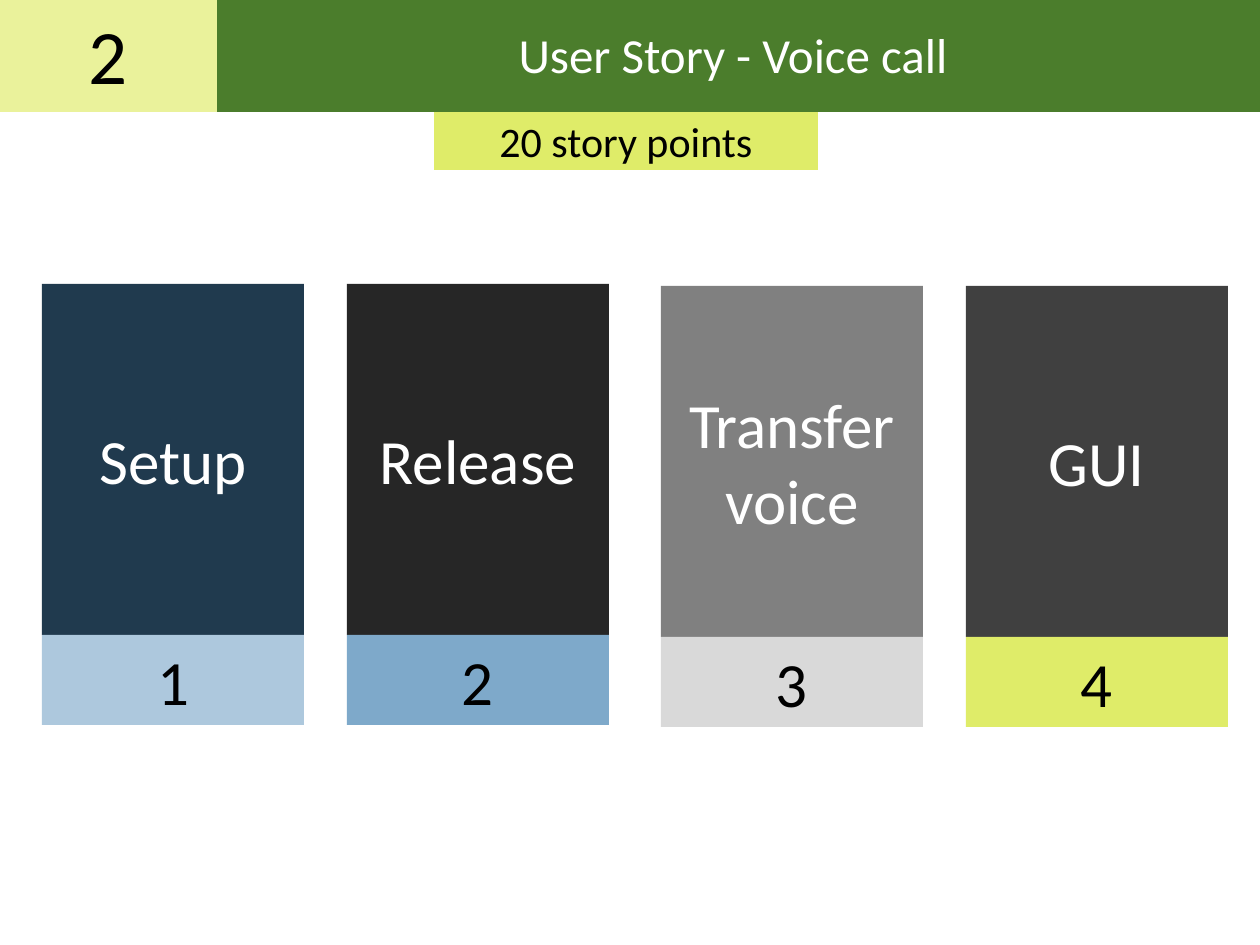
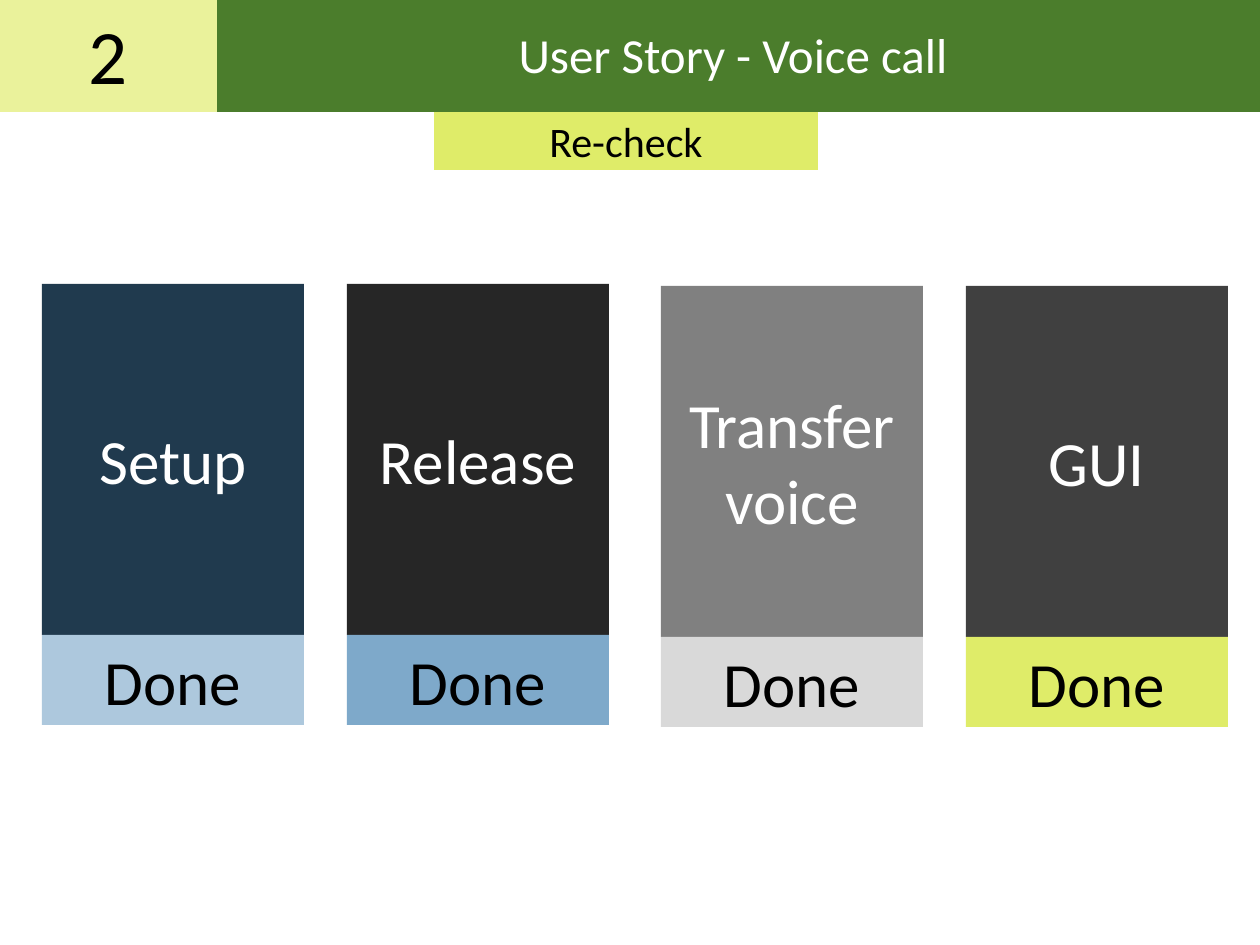
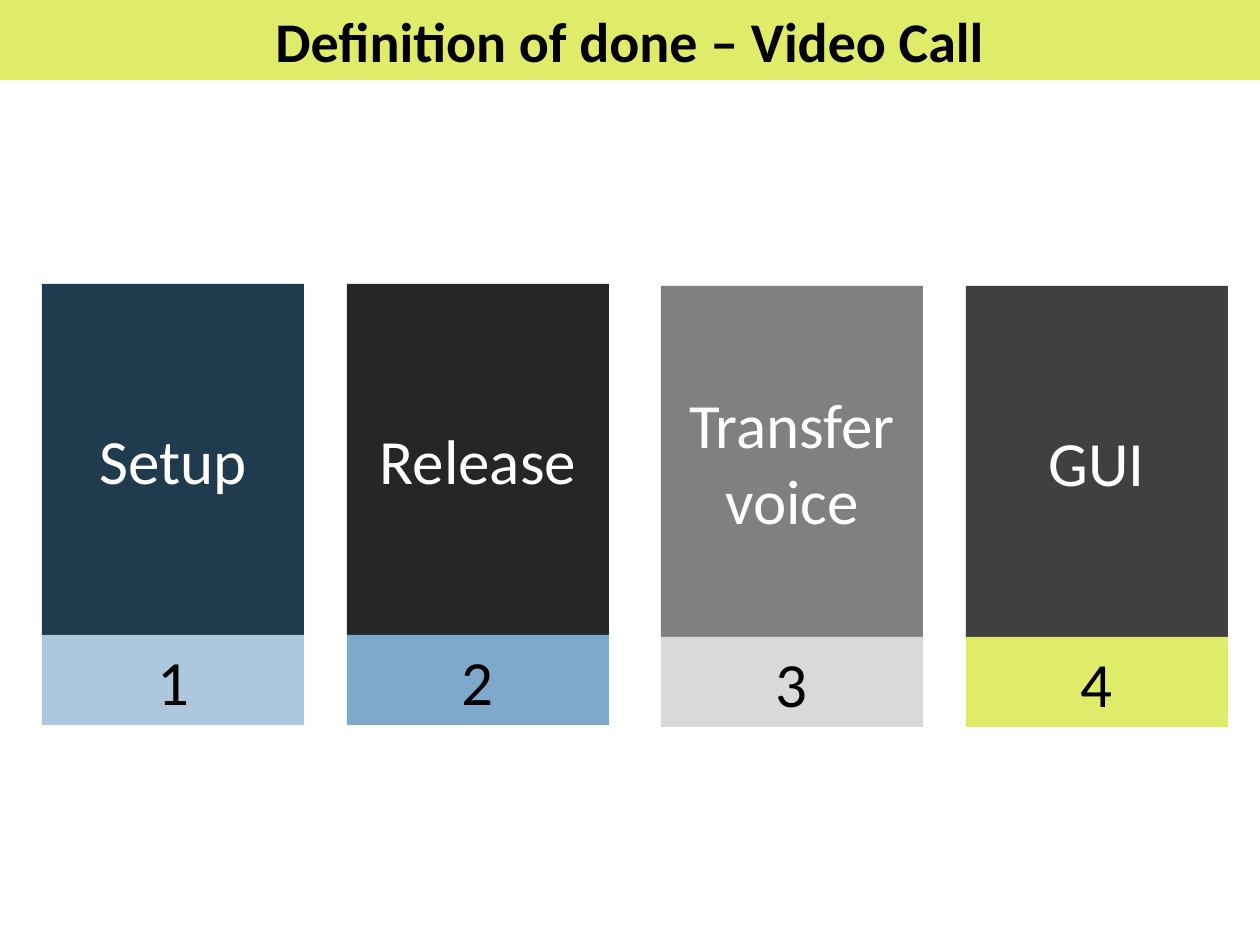
from dataclasses import dataclass

from pptx import Presentation
from pptx.dml.color import RGBColor
from pptx.enum.shapes import MSO_SHAPE
from pptx.enum.text import MSO_ANCHOR, MSO_AUTO_SIZE, PP_ALIGN
from pptx.shapes.base import BaseShape
from pptx.shapes.shapetree import GroupShapes
from pptx.slide import Slide
from pptx.util import Emu, Pt

RECTANGLE = MSO_SHAPE.RECTANGLE
MIDDLE = MSO_ANCHOR.MIDDLE
CENTER = PP_ALIGN.CENTER
FIT_SHAPE = MSO_AUTO_SIZE.SHAPE_TO_FIT_TEXT

EMU_PER_PX = 914400 / 126
SLIDE_WIDTH, SLIDE_HEIGHT = 1260, 945
BLANK_LAYOUT = 6


@dataclass(frozen=True)
class Theme:
    font: str = "Calibri"
    black: str = "000000"
    white: str = "FFFFFF"
    green: str = "4B7D2C"
    lime: str = "DFEC69"
    pale_lime: str = "EAF29B"
    navy: str = "203A4E"
    pale_blue: str = "ADC8DD"
    blue: str = "7EA9CA"
    charcoal: str = "262626"
    dark_gray: str = "404040"
    gray: str = "808080"
    light_gray: str = "D9D9D9"
    header_size: int = 28
    story_number_size: int = 44
    tab_size: int = 24
    card_size: int = 36
    title_size: int = 32


THEME = Theme()


@dataclass(frozen=True)
class Box:
    left: int
    top: int
    width: int
    height: int

    def emu(self) -> tuple[Emu, ...]:
        lengths = (self.left, self.top, self.width, self.height)
        return tuple(px(length) for length in lengths)


@dataclass(frozen=True)
class TextStyle:
    size: int
    color: str = THEME.black
    bold: bool = False


@dataclass(frozen=True)
class Card:
    name: str
    fill: str
    label_fill: str


HEADER_TOP, HEADER_HEIGHT = -4, 116
STORY_NUMBER_WIDTH = 217
STORY_NUMBER_BOX = Box(0, HEADER_TOP, STORY_NUMBER_WIDTH, HEADER_HEIGHT)
HEADER_BOX = Box(STORY_NUMBER_WIDTH, HEADER_TOP, SLIDE_WIDTH - STORY_NUMBER_WIDTH, HEADER_HEIGHT)
TAB_BOX = Box(434, HEADER_TOP + HEADER_HEIGHT, 384, 58)
TITLE_BOX = Box(0, 0, SLIDE_WIDTH, 80)

CARD_LEFT, CARD_TOP = 42, 284
CARD_WIDTH, CARD_HEIGHT, LABEL_HEIGHT = 262, 351, 90
CARD_PITCH = 305
PAIR_SHIFT_X, PAIR_SHIFT_Y = 619, 2

CARDS = (
    Card("Setup", THEME.navy, THEME.pale_blue),
    Card("Release", THEME.charcoal, THEME.blue),
    Card("Transfer voice", THEME.gray, THEME.light_gray),
    Card("GUI", THEME.dark_gray, THEME.lime),
)
NUMBER_LABELS = ("1", "2", "3", "4")
DONE_LABELS = ("Done",) * len(CARDS)


def px(length: int) -> Emu:
    return Emu(round(length * EMU_PER_PX))


def rgb(color: str) -> RGBColor:
    return RGBColor.from_string(color)


def style_text(shape: BaseShape, text: str, fill: str, style: TextStyle) -> None:
    shape.fill.solid()
    shape.fill.fore_color.rgb = rgb(fill)
    shape.text_frame.word_wrap = True
    paragraph = shape.text_frame.paragraphs[0]
    paragraph.text = text
    paragraph.alignment = CENTER
    paragraph.font.name = THEME.font
    paragraph.font.size = Pt(style.size)
    paragraph.font.bold = style.bold
    paragraph.font.color.rgb = rgb(style.color)


def add_panel(shapes: GroupShapes, box: Box, text: str, fill: str, style: TextStyle) -> None:
    shape = shapes.add_shape(RECTANGLE, *box.emu())
    shape.shadow.inherit = False
    shape.line.fill.background()
    shape.text_frame.vertical_anchor = MIDDLE
    style_text(shape, text, fill, style)


def add_story_header(slide: Slide, tab_text: str) -> None:
    header = slide.shapes.add_group_shape().shapes
    add_panel(header, HEADER_BOX, "User Story - Voice call ", THEME.green,
              TextStyle(THEME.header_size, THEME.white))
    add_panel(header, STORY_NUMBER_BOX, "2", THEME.pale_lime, TextStyle(THEME.story_number_size))
    add_panel(slide.shapes, TAB_BOX, tab_text, THEME.lime, TextStyle(THEME.tab_size))


def add_title(slide: Slide, text: str) -> None:
    title = slide.shapes.add_textbox(*TITLE_BOX.emu())
    style_text(title, text, THEME.lime, TextStyle(THEME.title_size, bold=True))
    title.text_frame.auto_size = FIT_SHAPE


def add_cards(slide: Slide, labels: tuple[str, ...]) -> None:
    for index, (card, label) in enumerate(zip(CARDS, labels)):
        pair, position = divmod(index, 2)
        left = CARD_LEFT + pair * PAIR_SHIFT_X + position * CARD_PITCH
        top = CARD_TOP + pair * PAIR_SHIFT_Y
        group = slide.shapes.add_group_shape().shapes
        add_panel(group, Box(left, top, CARD_WIDTH, CARD_HEIGHT), card.name, card.fill,
                  TextStyle(THEME.card_size, THEME.white))
        add_panel(group, Box(left, top + CARD_HEIGHT, CARD_WIDTH, LABEL_HEIGHT), label,
                  card.label_fill, TextStyle(THEME.card_size))


def main() -> None:
    presentation = Presentation()
    presentation.slide_width = px(SLIDE_WIDTH)
    presentation.slide_height = px(SLIDE_HEIGHT)
    layout = presentation.slide_layouts[BLANK_LAYOUT]

    for tab_text, labels in (("20 story points", NUMBER_LABELS), ("Re-check", DONE_LABELS)):
        slide = presentation.slides.add_slide(layout)
        add_story_header(slide, tab_text)
        add_cards(slide, labels)

    slide = presentation.slides.add_slide(layout)
    add_title(slide, "Definition of done – Video Call")
    add_cards(slide, NUMBER_LABELS)

    presentation.save("out.pptx")


if __name__ == "__main__":
    main()
